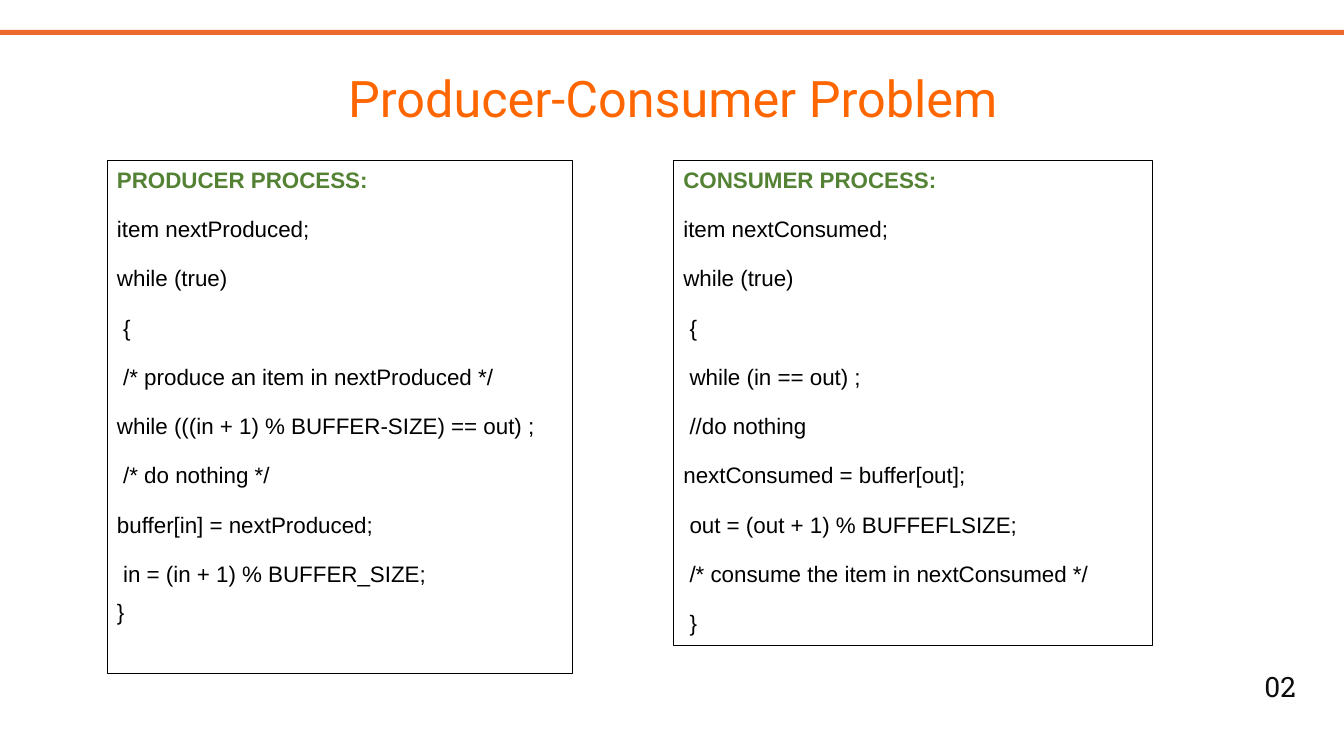
import pptx
import pptx.dml.color
import pptx.enum.shapes
import pptx.enum.text
import pptx.util

Pt = pptx.util.Pt
ALIGN = pptx.enum.text.PP_ALIGN
ANCHOR = pptx.enum.text.MSO_ANCHOR
RECTANGLE = pptx.enum.shapes.MSO_SHAPE.RECTANGLE

PRODUCER = [
    "item nextProduced;",
    "while (true)",
    " {",
    " /* produce an item in nextProduced */",
    "while (((in + 1) % BUFFER-SIZE) == out) ;",
    " /* do nothing */",
    "buffer[in] = nextProduced;",
    " in = (in + 1) % BUFFER_SIZE;",
    "}",
]
CONSUMER = [
    "item nextConsumed;",
    "while (true)",
    " {",
    " while (in == out) ;",
    " //do nothing",
    "nextConsumed = buffer[out];",
    " out = (out + 1) % BUFFEFLSIZE;",
    " /* consume the item in nextConsumed */",
    " }",
]


def color(value):
    return pptx.dml.color.RGBColor.from_string(value)


def add_span(para, text, font, size, hex_color, bold=False):
    span = para.add_run()
    span.text = text
    span.font.name = font
    span.font.size = Pt(size)
    span.font.bold = bold
    span.font.color.rgb = color(hex_color)


def add_rectangle(page, left, top, width, height, fill, line=None):
    box = page.shapes.add_shape(RECTANGLE, Pt(left), Pt(top), Pt(width), Pt(height))
    box.shadow.inherit = False
    box.fill.solid()
    box.fill.fore_color.rgb = color(fill)
    if line:
        box.line.color.rgb = color(line)
        box.line.width = Pt(0.75)
    else:
        box.line.fill.background()
    return box


def add_label(page, left, top, width, height, text, font, size, hex_color, wrap=True):
    """Add one line of centred text."""
    box = page.shapes.add_textbox(Pt(left), Pt(top), Pt(width), Pt(height))
    frame = box.text_frame
    frame.word_wrap = wrap
    frame.vertical_anchor = ANCHOR.MIDDLE
    para = frame.paragraphs[0]
    para.alignment = ALIGN.CENTER
    add_span(para, text, font, size, hex_color)


def add_process(page, left, top, width, height, heading, code, last_gap=8):
    """Add a framed code listing; last_gap is the space before its last line."""
    frame = add_rectangle(page, left, top, width, height, "FFFFFF", "000000").text_frame
    frame.word_wrap = True
    frame.vertical_anchor = ANCHOR.TOP
    for index, text in enumerate([heading] + code):
        para = frame.paragraphs[0] if index == 0 else frame.add_paragraph()
        para.alignment = ALIGN.LEFT
        para.space_after = Pt(8)
        if index == 0:
            add_span(para, text, "Arial", 16, "548235", bold=True)
        else:
            para.space_before = Pt(last_gap if index == len(code) else 8)
            add_span(para, text, "Arial", 16, "000000")


def main():
    deck = pptx.Presentation()
    deck.slide_width, deck.slide_height = Pt(960), Pt(540)
    page = deck.slides.add_slide(deck.slide_layouts[6])
    add_rectangle(page, 0, 21.4, 960, 3.6, "ED682F")
    add_label(page, 895.7, 474.5, 37.4, 31.7, "02", "Roboto Slab", 20, "0D0D0D", wrap=False)
    add_label(page, 188, 24.5, 585.4, 90, "Producer-Consumer Problem", "Roboto", 36, "FF6600")
    add_process(page, 76.5, 115, 332.5, 366, "PRODUCER PROCESS:", PRODUCER, last_gap=0)
    add_process(page, 481, 115, 342, 346, "CONSUMER PROCESS:", CONSUMER)
    deck.save("out.pptx")


if __name__ == "__main__":
    main()
